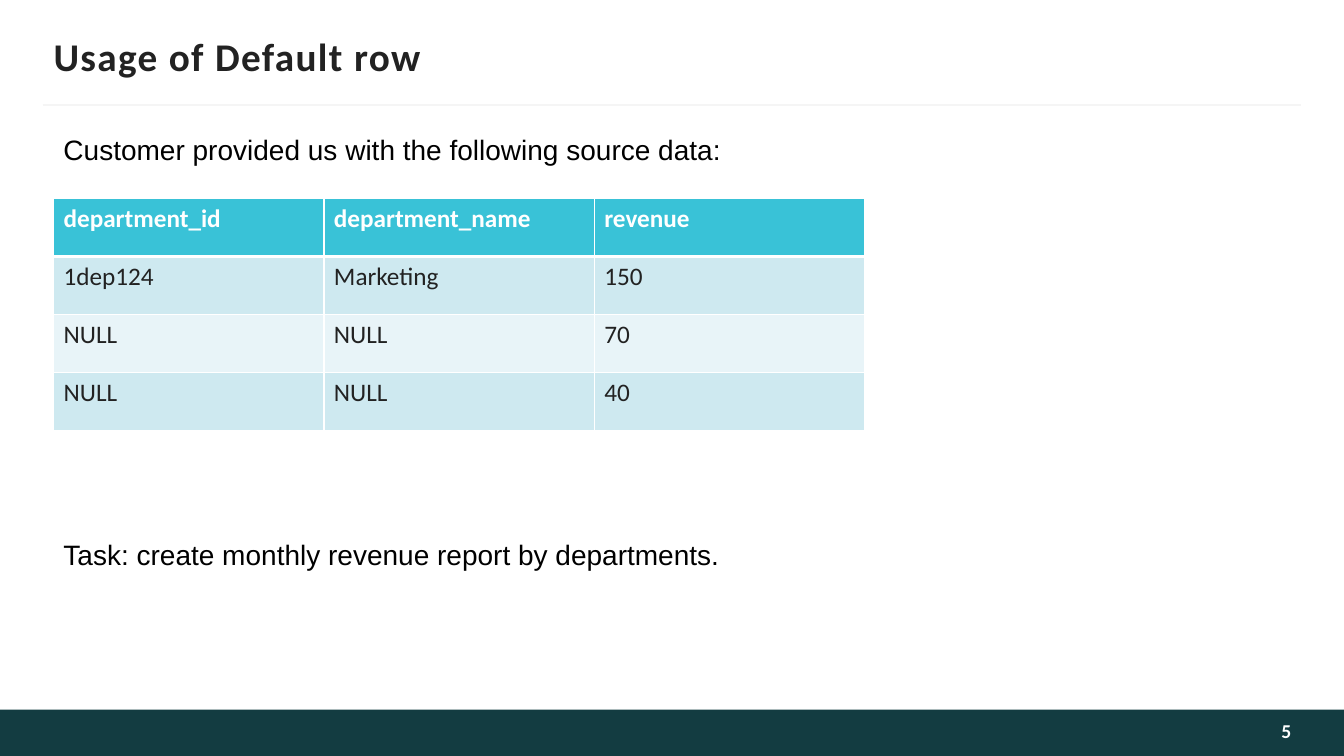
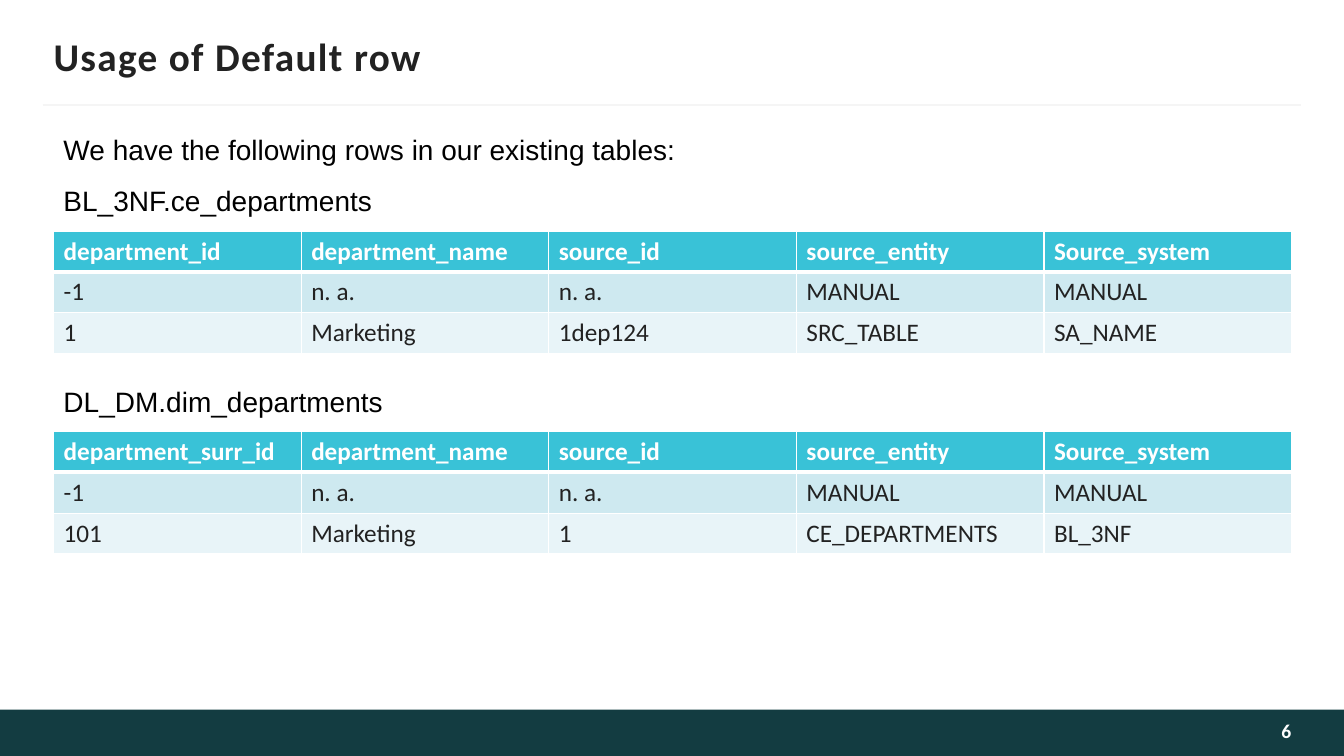
from lxml import etree
from pptx import Presentation
from pptx.dml.color import RGBColor
from pptx.enum import shapes, text
from pptx.oxml import ns
from pptx.util import Cm, Pt

# Colours and fonts
WHITE = RGBColor(0xFF, 0xFF, 0xFF)
BLACK = RGBColor(0x00, 0x00, 0x00)
INK = RGBColor(0x22, 0x22, 0x22)
BAND = RGBColor(0x13, 0x3C, 0x41)
RULE = RGBColor(0xF5, 0xF5, 0xF5)
NUMBER = RGBColor(0xFE, 0xFE, 0xFE)
HEADER = RGBColor(0x39, 0xC2, 0xD7)
STRIPES = [RGBColor(0xCE, 0xE9, 0xF0), RGBColor(0xE8, 0xF4, 0xF8)]
HEAD_FONT, BODY_FONT = "Calibri", "Arial"

# Shared measures in cm
WIDTH, HEIGHT = 33.87, 19.05
LEFT = 1.35
BAND_TOP, BAND_HEIGHT = 17.88, 1.17
TITLE = "Usage of Default row"

# Slide content: texts are (top, words), tables are (top, width, row height, rows)
SOURCE_HEADS = ["source_id", "source_entity", "Source_system"]
DEFAULT_ROW = ["-1", "n. a.", "n. a.", "MANUAL", "MANUAL"]
SLIDES = [
    {
        "number": 5,
        "texts": [
            (2.8, "Customer provided us with the following source data:"),
            (13, "Task: create monthly revenue report by departments."),
        ],
        "tables": [
            (5, 20.44, 1.46, [
                ["department_id", "department_name", "revenue"],
                ["1dep124", "Marketing", "150"],
                ["NULL", "NULL", "70"],
                ["NULL", "NULL", "40"],
            ]),
        ],
    },
    {
        "number": 6,
        "texts": [
            (2.8, "We have the following rows in our existing tables:"),
            (4.08, "BL_3NF.ce_departments"),
            (9.15, "DL_DM.dim_departments"),
        ],
        "tables": [
            (5.82, 31.2, 1.03, [
                ["department_id", "department_name"] + SOURCE_HEADS,
                DEFAULT_ROW,
                ["1", "Marketing", "1dep124", "SRC_TABLE", "SA_NAME"],
            ]),
            (10.87, 31.2, 1.03, [
                ["department_surr_id", "department_name"] + SOURCE_HEADS,
                DEFAULT_ROW,
                ["101", "Marketing", "1", "CE_DEPARTMENTS", "BL_3NF"],
            ]),
        ],
    },
]


def add_text(s, box, words, font, size, color, bold=False):
    sp = s.shapes.add_textbox(*[Cm(v) for v in box])
    tf = sp.text_frame
    tf.word_wrap = True
    p = tf.paragraphs[0]
    p.text = words
    p.font.name, p.font.size, p.font.bold = font, Pt(size), bold
    p.font.color.rgb = color
    return tf, p


def add_border(cell, side, width):
    tc_pr = cell._tc.get_or_add_tcPr()
    ln = etree.SubElement(tc_pr, ns.qn("a:ln" + side), w=str(Pt(width)))
    fill = etree.SubElement(ln, ns.qn("a:solidFill"))
    etree.SubElement(fill, ns.qn("a:srgbClr"), val=str(WHITE))


prs = Presentation()
prs.slide_width, prs.slide_height = Cm(WIDTH), Cm(HEIGHT)

for content in SLIDES:
    s = prs.slides.add_slide(prs.slide_layouts[6])

    # Footer band
    sp = s.shapes.add_shape(shapes.MSO_SHAPE.RECTANGLE, 0, Cm(BAND_TOP), Cm(WIDTH), Cm(BAND_HEIGHT))
    sp.shadow.inherit = False
    sp.fill.solid()
    sp.fill.fore_color.rgb = BAND
    sp.line.fill.background()

    # Rule under the title
    line = s.shapes.add_connector(shapes.MSO_CONNECTOR.STRAIGHT, Cm(1.08), Cm(2.65), Cm(32.78), Cm(2.65))
    line.line.color.rgb = RULE
    line.line.width = Pt(1.5)
    etree.SubElement(line._element.spPr, ns.qn("a:effectLst"))

    # Title
    tf, p = add_text(s, (LEFT, 0.85, 31.2, 1.11), TITLE, HEAD_FONT, 28, INK, True)
    tf.margin_left = tf.margin_right = 0
    tf.vertical_anchor = text.MSO_ANCHOR.MIDDLE
    p.runs[0]._r.get_or_add_rPr().set("spc", "100")

    # Slide number
    tf, p = add_text(s, (27.46, BAND_TOP, 5.08, BAND_HEIGHT), str(content["number"]),
                     HEAD_FONT, 14, NUMBER, True)
    tf.margin_right, tf.margin_bottom = 0, Cm(0.23)
    tf.vertical_anchor = text.MSO_ANCHOR.MIDDLE
    p.alignment = text.PP_ALIGN.RIGHT

    # Body texts
    for top, words in content["texts"]:
        tf, p = add_text(s, (LEFT, top, 32.33, 1.37), words, BODY_FONT, 20, BLACK)
        p.line_spacing = 1.5

    # Tables
    for top, width, row_height, rows in content["tables"]:
        table = s.shapes.add_table(len(rows), len(rows[0]), Cm(LEFT), Cm(top),
                                   Cm(width), Cm(row_height * len(rows))).table
        for i, row in enumerate(rows):
            table.rows[i].height = Cm(row_height)
            for j, words in enumerate(row):
                cell = table.cell(i, j)
                add_border(cell, "L", 1)
                add_border(cell, "R", 1)
                add_border(cell, "T", 3 if i == 1 else 1)
                add_border(cell, "B", 3 if i == 0 else 1)
                cell.fill.solid()
                cell.fill.fore_color.rgb = STRIPES[(i - 1) % 2] if i else HEADER
                p = cell.text_frame.paragraphs[0]
                p.text = words
                p.font.name, p.font.size, p.font.bold = HEAD_FONT, Pt(18), i == 0
                p.font.color.rgb = INK if i else WHITE

prs.save("out.pptx")
